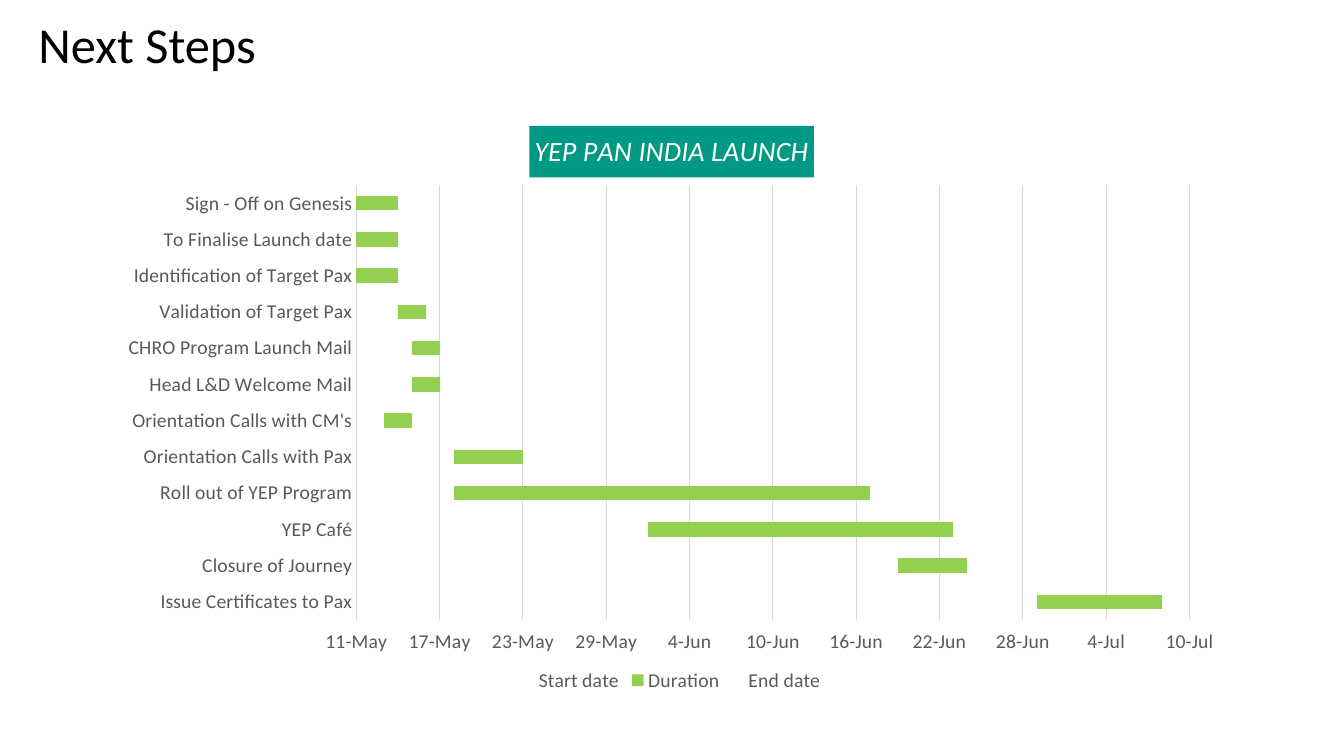
import pptx
import pptx.util
import pptx.chart.data
import pptx.dml.color
import pptx.enum.chart
import pptx.enum.text
import pptx.oxml

Cm, Pt = pptx.util.Cm, pptx.util.Pt
enums = pptx.enum.chart

COLORS = {"ink": "000000", "label": "595959", "grid": "D9D9D9",
          "bar": "93D050", "banner": "009983", "light": "FFFFFF"}
FONT = "Calibri"
FIRST, LAST, STEP = 43962, 44022, 6  # day numbers for 11-May to 10-Jul

# task, start day, length in days, end day
TASKS = [
    ("Sign - Off on Genesis", 43962, 3, 43965),
    ("To Finalise Launch date", 43962, 3, 43965),
    ("Identification of Target Pax", 43962, 3, 43965),
    ("Validation of Target Pax", 43965, 2, 43966),
    ("CHRO Program Launch Mail", 43966, 2, 43967),
    ("Head L&D Welcome Mail", 43966, 2, 43967),
    ("Orientation Calls with CM's", 43964, 2, 43965),
    ("Orientation Calls with Pax", 43969, 5, 43973),
    ("Roll out of YEP Program", 43969, 30, 44000),
    ("YEP Café", 43983, 22, 44005),
    ("Closure of Journey", 44001, 5, 44006),
    ("Issue Certificates to Pax", 44011, 9, 44022),
]


def rgb(name):
    return pptx.dml.color.RGBColor.from_string(COLORS[name])


def style(font, size, color):
    font.name, font.size = FONT, Pt(size)
    font.color.rgb = rgb(color)


def rule(line):
    line.color.rgb = rgb("grid")
    line.width = Pt(0.75)


def add_title(slide, box):
    frame = slide.shapes.add_textbox(*box).text_frame
    frame.word_wrap = True
    frame.vertical_anchor = pptx.enum.text.MSO_ANCHOR.MIDDLE
    frame.margin_left = frame.margin_right = Cm(0.33)
    frame.margin_top = frame.margin_bottom = Cm(0.18)
    para = frame.paragraphs[0]
    para.text = "Next Steps"
    style(para.font, 36, "ink")


def place_plot(chart, **part):
    """Fix the inner plot area as shares of the chart's box."""
    area = chart._chartSpace.chart.plotArea
    for old in area.findall(pptx.oxml.ns.qn("c:layout")):
        area.remove(old)
    sizes = "".join(f'<c:{key} val="{val}"/>' for key, val in part.items())
    area.insert(0, pptx.oxml.parse_xml(
        f'<c:layout {pptx.oxml.ns.nsdecls("c")}><c:manualLayout>'
        '<c:layoutTarget val="inner"/><c:xMode val="edge"/>'
        f'<c:yMode val="edge"/>{sizes}</c:manualLayout></c:layout>'))


def add_banner(chart):
    title = chart.chart_title
    title.include_in_layout = False
    para = title.text_frame.paragraphs[0]
    para.text = "YEP PAN INDIA LAUNCH"
    style(para.font, 20, "light")
    para.font.italic, para.font.bold = True, False
    title.format.fill.solid()
    title.format.fill.fore_color.rgb = rgb("banner")


def style_axes(chart):
    tasks, days = chart.category_axis, chart.value_axis
    for axis in (tasks, days):
        axis.major_tick_mark = axis.minor_tick_mark = enums.XL_TICK_MARK.NONE
        style(axis.tick_labels.font, 14, "label")
    # Tasks run downwards, so the high end of their axis is the bottom.
    tasks.reverse_order = True
    days.tick_label_position = enums.XL_TICK_LABEL_POSITION.HIGH
    rule(tasks.format.line)
    days.minimum_scale, days.maximum_scale = FIRST, LAST
    days.major_unit = STEP
    days.format.line.fill.background()
    rule(days.major_gridlines.format.line)
    days.tick_labels.number_format = r"[$-409]d\-mmm;@"
    days.tick_labels.number_format_is_linked = False


def add_gantt(slide, box):
    names, starts, spans, ends = zip(*TASKS)
    data = pptx.chart.data.CategoryChartData()
    data.categories = names
    data.add_series("Start date", starts)
    data.add_series("Duration", spans)
    data.add_series("End date", ends)
    chart = slide.shapes.add_chart(
        enums.XL_CHART_TYPE.BAR_STACKED, *box, data).chart
    style(chart.font, 10, "ink")
    add_banner(chart)
    style_axes(chart)
    place_plot(chart, x=0.22, y=0.13, w=0.74, h=0.74)

    plot = chart.plots[0]
    plot.vary_by_categories = False
    plot.gap_width, plot.overlap = 150, 100
    for series in plot.series:
        fill = series.format.fill
        if series.name == "Duration":
            fill.solid()
            fill.fore_color.rgb = rgb("bar")
        else:
            fill.background()
        series.format.line.fill.background()

    chart.has_legend = True
    chart.legend.position = enums.XL_LEGEND_POSITION.BOTTOM
    chart.legend.include_in_layout = False
    style(chart.legend.font, 14, "label")


def main():
    deck = pptx.Presentation()
    deck.slide_width, deck.slide_height = Cm(33.87), Cm(19.05)
    slide = deck.slides.add_slide(deck.slide_layouts[6])
    add_title(slide, (Cm(0.64), Cm(0.1), Cm(30.48), Cm(1.98)))
    add_gantt(slide, (Cm(2.74), Cm(2.74), Cm(28.37), Cm(14.81)))
    deck.save("out.pptx")


if __name__ == "__main__":
    main()
